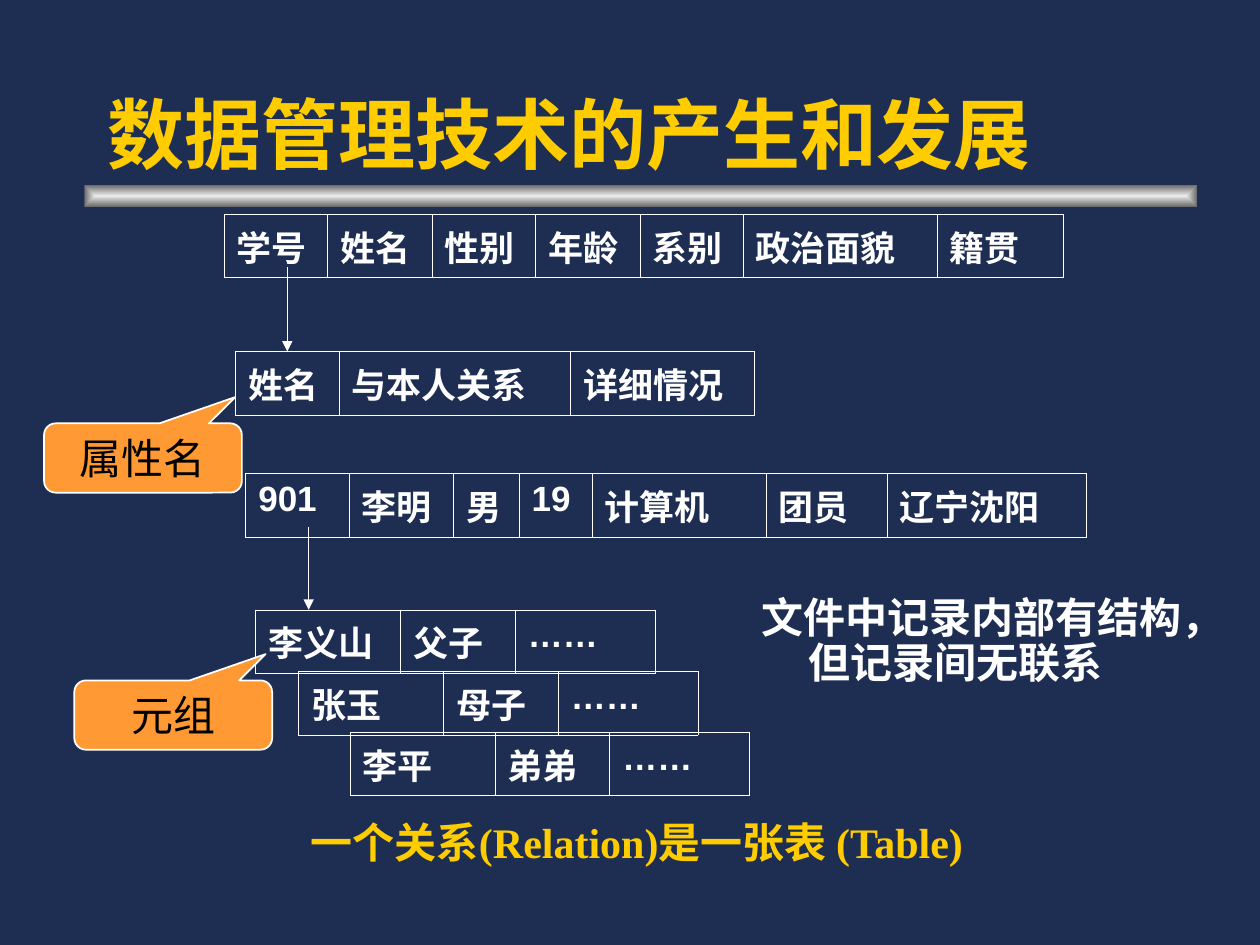
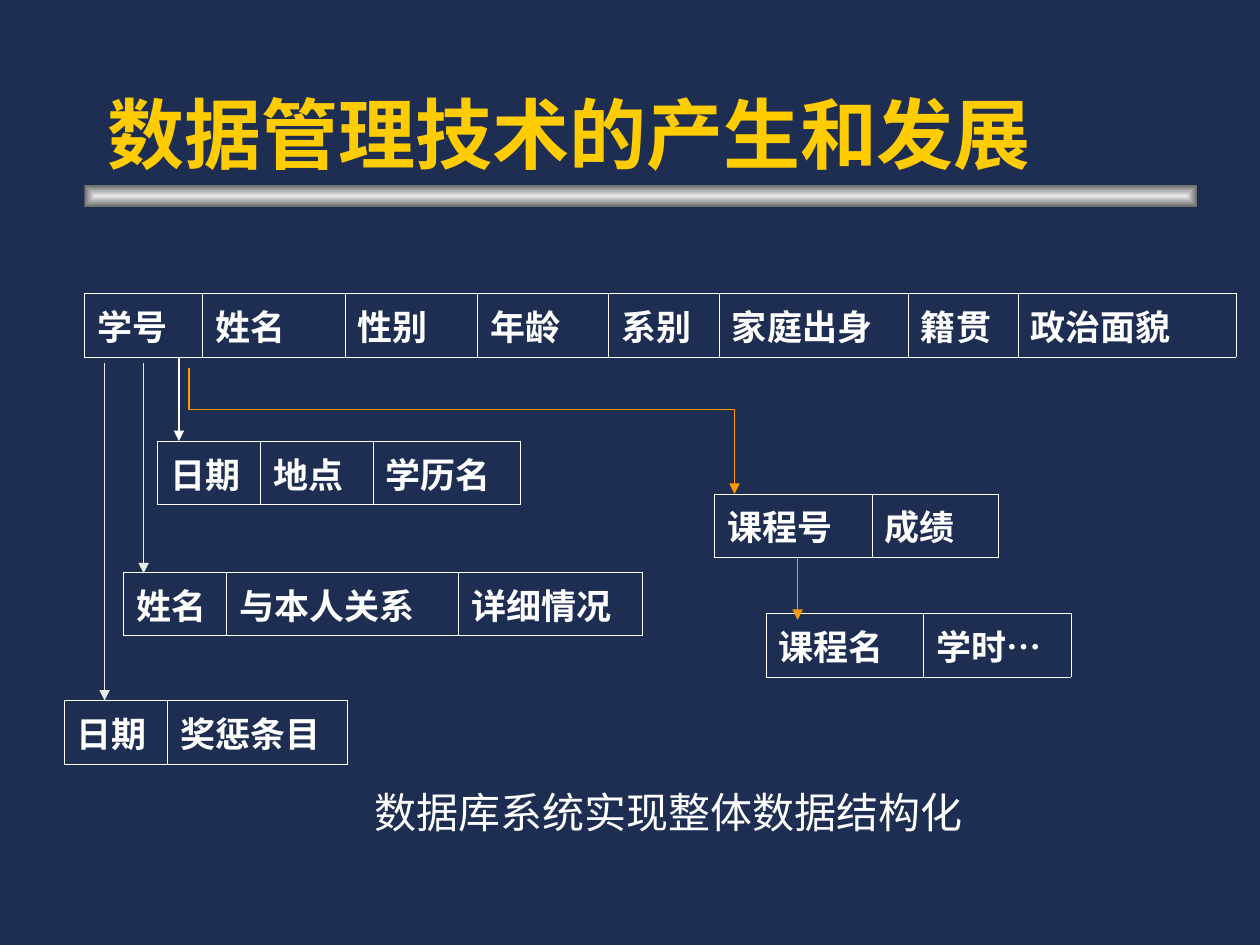
import pptx
import pptx.util
import pptx.dml.color
import pptx.enum.shapes
import pptx.enum.text
import pptx.oxml
import pptx.oxml.ns
from pptx.util import Inches

COLORS = {
    "navy": "1E2E53", "gold": "FFCC00", "white": "FFFFFF", "black": "000000",
    "silver": "EAEAEA", "gray": "6C6C6C", "callout": "FF9933", "orange": "FF9900",
}
TITLE = "数据管理技术的产生和发展"
TITLE_BOX = (0.75, 0.25, 8.5, 1.22)
BAR_BOX = (0.67, 1.47, 8.83, 0.17)
CALLOUT_SIZE = (1.57, 0.55)
CALLOUT_TIP = (0.467, -0.88, 0.167)
MEMBER_WIDTHS = (1.15, 0.91, 1.11)
RELATIVE_FIELDS = (("姓名", 0.82), ("与本人关系", 1.84), ("详细情况", 1.46))

TITLE_FONT = {"name": "Arial", "size": 44, "bold": True, "color": "gold"}
BODY_FONT = {"name": "Arial", "size": 24, "bold": True, "color": "white"}
CELL_FONT = {"name": "Arial", "size": 20, "bold": True, "color": "white"}
CALLOUT_FONT = {"name": "Times New Roman", "size": 24, "color": "black"}
RELATION_FONT = {"name": "Times New Roman", "size": 24, "bold": True, "color": "gold"}
SUMMARY_FONT = {"name": "Cabin", "size": 24, "color": "white"}


def member(name, relation):
    return tuple(zip((name, relation, "……"), MEMBER_WIDTHS))


# Records: left, top, row height, ((field, width), ...)
# Arrows: colour, points from start to head
FILE_SLIDE = {
    "body": ("文件中记录内部有结构，但记录间无联系", (5.94, 4.69, 3.85, 0.9)),
    "records": [
        (1.78, 1.7, 0.47, (("学号", 0.82), ("姓名", 0.83), ("性别", 0.82), ("年龄", 0.83),
                           ("系别", 0.82), ("政治面貌", 1.54), ("籍贯", 1))),
        (1.87, 2.79, 0.44, RELATIVE_FIELDS),
        (1.95, 3.76, 0.47, (("901", 0.82), ("李明", 0.83), ("男", 0.52), ("19", 0.58),
                            ("计算机", 1.38), ("团员", 0.96), ("辽宁沈阳", 1.58))),
        (2.03, 4.84, 0.47, member("李义山", "父子")),
        (2.37, 5.33, 0.47, member("张玉", "母子")),
        (2.78, 5.81, 0.47, member("李平", "弟弟")),
    ],
    "arrows": [
        ("white", [(2.28, 2.12), (2.28, 2.79)]),
        ("white", [(2.45, 4.18), (2.45, 4.84)]),
    ],
    "callouts": [("属性名", 0.35, 3.36), ("元组", 0.59, 5.4)],
    "caption": ("一个关系(Relation)是一张表 (Table)", (2.37, 6.43, 5.64, 0.5),
                RELATION_FONT, False, 0),
}
DATABASE_SLIDE = {
    "records": [
        (0.67, 2.33, 0.46, (("学号", 0.94), ("姓名", 1.13), ("性别", 1.05), ("年龄", 1.04),
                            ("系别", 0.88), ("家庭出身", 1.5), ("籍贯", 0.87), ("政治面貌", 1.73))),
        (1.25, 3.5, 0.43, (("日期", 0.82), ("地点", 0.89), ("学历名", 1.17))),
        (0.98, 4.54, 0.47, RELATIVE_FIELDS),
        (0.51, 5.56, 0.47, (("日期", 0.82), ("奖惩条目", 1.43))),
        (5.67, 3.92, 0.43, (("课程号", 1.25), ("成绩", 1))),
        (6.08, 4.87, 0.43, (("课程名", 1.25), ("学时…", 1.17))),
    ],
    "arrows": [
        ("white", [(1.42, 2.83), (1.42, 3.5)]),
        ("silver", [(1.14, 2.88), (1.14, 4.55)]),
        ("silver", [(0.83, 2.88), (0.83, 5.56)]),
        ("orange", [(1.5, 2.92), (1.5, 3.25), (5.83, 3.25), (5.83, 3.92)]),
        ("orange", [(6.33, 4.42), (6.33, 4.92)]),
    ],
    "callouts": [],
    "caption": ("数据库系统实现整体数据结构化", (2.87, 6.19, 6.25, 0.5),
                SUMMARY_FONT, True, 15),
}


def rgb(color):
    return pptx.dml.color.RGBColor.from_string(COLORS[color])


def inches(values):
    return [Inches(value) for value in values]


def xml(markup):
    """Parse a DrawingML element whose prefix is a."""
    head, mark, tail = markup.partition(">")
    slash = "/" if head.endswith("/") else ""
    namespace = pptx.oxml.ns.nsdecls("a")
    return pptx.oxml.parse_xml(f"{head.rstrip('/')} {namespace}{slash}{mark}{tail}")


def write(text_frame, text, font, **paragraph_format):
    text_frame.text = text
    paragraph = text_frame.paragraphs[0]
    for name, value in paragraph_format.items():
        setattr(paragraph, name, value)
    run_font = paragraph.runs[0].font
    values = {"bold": False, **font, "size": pptx.util.Pt(font["size"])}
    run_font.color.rgb = rgb(values.pop("color"))
    for name, value in values.items():
        setattr(run_font, name, value)
    return paragraph


def fill_placeholder(placeholder, box, anchor):
    for name, value in zip(("left", "top", "width", "height"), inches(box)):
        setattr(placeholder, name, value)
    placeholder.text_frame.auto_size = pptx.enum.text.MSO_AUTO_SIZE.NONE
    placeholder.text_frame.vertical_anchor = anchor
    return placeholder.text_frame


def add_title(slide):
    frame = fill_placeholder(slide.shapes.title, TITLE_BOX, pptx.enum.text.MSO_ANCHOR.BOTTOM)
    write(frame, TITLE, TITLE_FONT, alignment=pptx.enum.text.PP_ALIGN.LEFT)


def add_bar(slide):
    bar = slide.shapes.add_shape(pptx.enum.shapes.MSO_SHAPE.RECTANGLE, *inches(BAR_BOX))
    bar.shadow.inherit = False
    bar.line.fill.background()
    bar.fill.gradient()
    gradient = bar.element.spPr.find(pptx.oxml.ns.qn("a:gradFill"))
    gradient.getparent().replace(gradient, xml(
        '<a:gradFill rotWithShape="1"><a:gsLst>'
        f'<a:gs pos="0"><a:srgbClr val="{COLORS["silver"]}"/></a:gs>'
        f'<a:gs pos="100000"><a:srgbClr val="{COLORS["gray"]}"/></a:gs></a:gsLst>'
        '<a:path path="rect"><a:fillToRect l="50000" t="50000" r="50000" b="50000"/></a:path>'
        '</a:gradFill>'))


def add_body(slide, text, box):
    frame = fill_placeholder(slide.placeholders[1], box, pptx.enum.text.MSO_ANCHOR.TOP)
    paragraph = write(frame, text, BODY_FONT, line_spacing=0.9, space_before=pptx.util.Pt(6))
    properties = paragraph._p.get_or_add_pPr()
    properties.set("marL", str(Inches(0.38)))
    properties.set("indent", str(-Inches(0.38)))
    properties.append(xml("<a:buNone/>"))


def add_record(slide, left, top, height, fields):
    width = sum(field_width for _, field_width in fields)
    table = slide.shapes.add_table(1, len(fields), *inches((left, top, width, height))).table
    table.first_row = table.horz_banding = False
    for column, cell, (text, field_width) in zip(table.columns, table.rows[0].cells, fields):
        column.width = Inches(field_width)
        write(cell.text_frame, text, CELL_FONT, space_before=pptx.util.Pt(5))
        properties = cell._tc.get_or_add_tcPr()
        for side in "LRTB":
            properties.append(xml(
                f'<a:ln{side} w="{pptx.util.Pt(0.45)}"><a:solidFill>'
                f'<a:srgbClr val="{COLORS["white"]}"/></a:solidFill></a:ln{side}>'))
        cell.fill.background()


def add_arrow(slide, color, points):
    """Draw a straight connector, or a bent outline for more than two points."""
    corners = [tuple(inches(point)) for point in points]
    if len(corners) == 2:
        arrow = slide.shapes.add_connector(
            pptx.enum.shapes.MSO_CONNECTOR.STRAIGHT, *corners[0], *corners[1])
    else:
        builder = slide.shapes.build_freeform(*corners[0])
        builder.add_line_segments(corners[1:], close=False)
        arrow = builder.convert_to_shape()
        arrow.fill.background()
    arrow.line.color.rgb = rgb(color)
    arrow.line.width = pptx.util.Pt(0.75)
    properties = arrow.element.spPr
    properties.find(pptx.oxml.ns.qn("a:ln")).append(xml('<a:tailEnd type="triangle"/>'))
    properties.append(xml("<a:effectLst/>"))


def add_callout(slide, text, left, top):
    callout = slide.shapes.add_shape(
        pptx.enum.shapes.MSO_SHAPE.ROUNDED_RECTANGULAR_CALLOUT,
        *inches((left, top, *CALLOUT_SIZE)))
    for index, value in enumerate(CALLOUT_TIP):
        callout.adjustments[index] = value
    callout.shadow.inherit = False
    callout.fill.solid()
    callout.fill.fore_color.rgb = rgb("callout")
    callout.line.color.rgb = rgb("white")
    callout.line.width = pptx.util.Pt(1)
    callout.text_frame.vertical_anchor = pptx.enum.text.MSO_ANCHOR.TOP
    write(callout.text_frame, text, CALLOUT_FONT, alignment=pptx.enum.text.PP_ALIGN.CENTER)


def add_caption(slide, text, box, font, wrap, space_before):
    frame = slide.shapes.add_textbox(*inches(box)).text_frame
    frame.word_wrap = wrap
    frame.auto_size = pptx.enum.text.MSO_AUTO_SIZE.SHAPE_TO_FIT_TEXT
    write(frame, text, font, space_before=pptx.util.Pt(space_before))


def add_slide(presentation, content):
    layout = presentation.slide_layouts[1 if "body" in content else 5]
    slide = presentation.slides.add_slide(layout)
    add_bar(slide)
    add_title(slide)
    if "body" in content:
        add_body(slide, *content["body"])
    for record in content["records"]:
        add_record(slide, *record)
    for arrow in content["arrows"]:
        add_arrow(slide, *arrow)
    for callout in content["callouts"]:
        add_callout(slide, *callout)
    add_caption(slide, *content["caption"])


def main():
    presentation = pptx.Presentation()
    presentation.slide_width, presentation.slide_height = inches((10, 7.5))
    background = presentation.slide_master.background.fill
    background.solid()
    background.fore_color.rgb = rgb("navy")
    for content in (FILE_SLIDE, DATABASE_SLIDE):
        add_slide(presentation, content)
    presentation.save("out.pptx")


if __name__ == "__main__":
    main()
